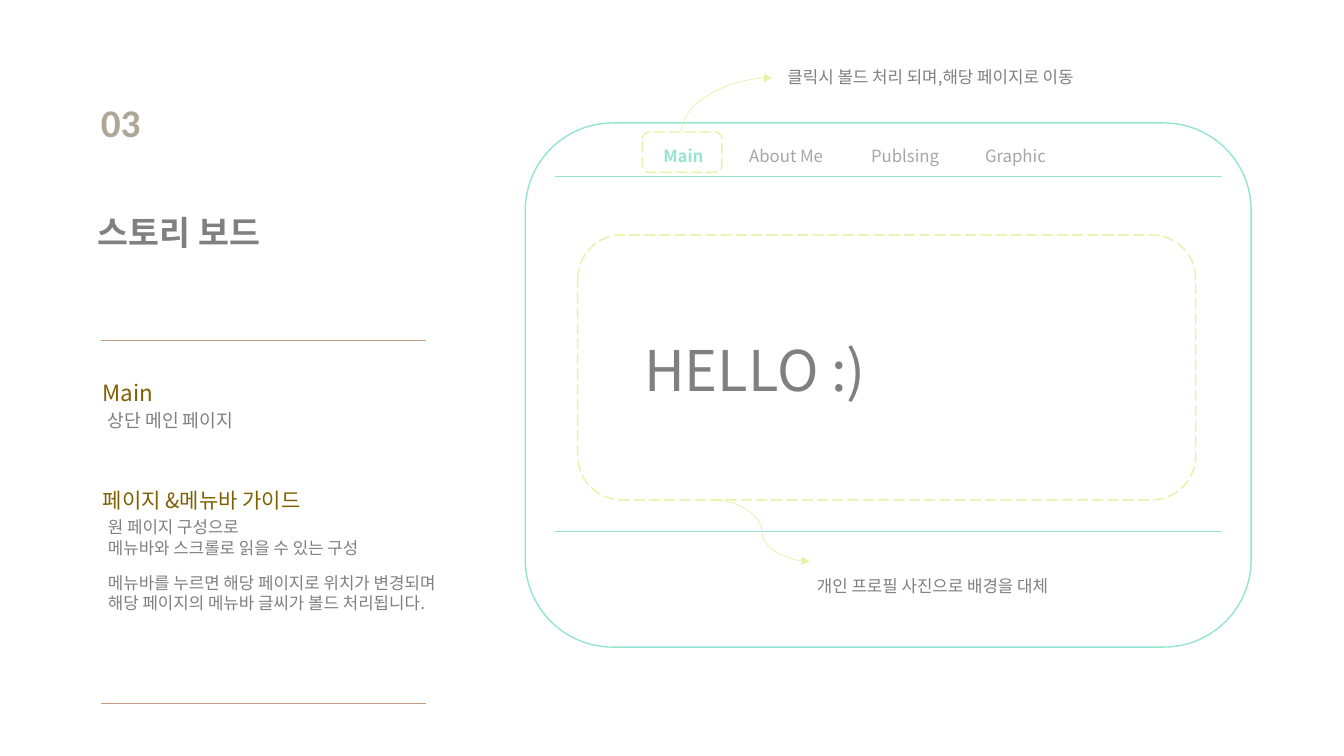
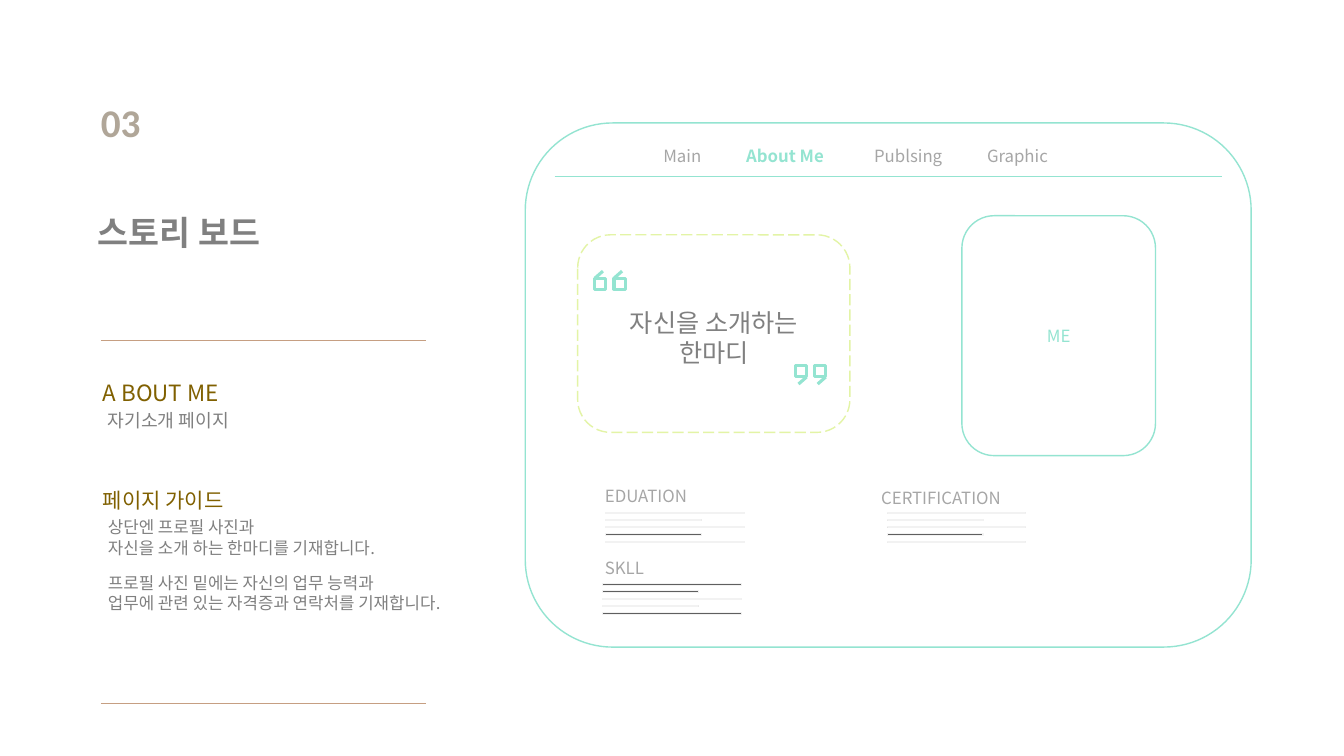
import dataclasses

import lxml.etree
import pptx
import pptx.dml.color
import pptx.enum.dml
import pptx.enum.shapes
import pptx.enum.text
import pptx.oxml.ns
import pptx.util

PX = 9144
ALIGN = pptx.enum.text.PP_ALIGN
SHAPE = pptx.enum.shapes.MSO_SHAPE
CONNECTOR = pptx.enum.shapes.MSO_CONNECTOR
qn = pptx.oxml.ns.qn


@dataclasses.dataclass(frozen=True)
class Style:
    size: float
    color: str
    bold: bool = False
    font: str = "Noto Sans CJK KR"


@dataclasses.dataclass(frozen=True)
class Theme:
    mint: str = "94E4D1"
    lime: str = "E3F4A6"
    tan: str = "C69F82"
    bar: str = "5F5F5F"
    bar_edge: str = "F2F2F2"
    leading: float = 1.2
    number: Style = Style(28, "B0A698", True, "Calibri")
    title: Style = Style(24, "808080", True)
    heading: Style = Style(16, "806000")
    guide_heading: Style = Style(15, "806000")
    summary: Style = Style(13, "808080")
    note: Style = Style(12, "808080")
    menu: Style = Style(12, "A6A6A6")
    active: Style = Style(12, "94E4D1", True)
    portrait: Style = Style(12, "94E4D1")
    hello: Style = Style(40, "808080")
    quote: Style = Style(18, "808080")


THEME = Theme()


@dataclasses.dataclass(frozen=True)
class Box:
    left: int
    top: int
    width: int = 0
    height: int = 0

    def inner(self, left, top, width=0, height=0):
        return Box(self.left + left, self.top + top, width, height)

    def emu(self):
        return [value * PX for value in (self.left, self.top, self.width, self.height)]


SIDEBAR = Box(97, 98, 398, 600)
SCREEN = Box(521, 122, 720, 520)
MENU = ("Main", "About Me", "Publsing", "Graphic")


def rgb(color):
    return pptx.dml.color.RGBColor.from_string(color)


def add_span(para, text, style):
    span = para.add_run()
    span.text = text
    span.font.size = pptx.util.Pt(style.size)
    span.font.bold = style.bold
    span.font.color.rgb = rgb(style.color)
    span.font.name = style.font
    properties = span.font.fill and span._r.get_or_add_rPr()
    lxml.etree.SubElement(properties, qn("a:ea")).set("typeface", style.font)


def add_para(frame, first, style, align=ALIGN.LEFT, gap=0):
    para = frame.paragraphs[0] if first else frame.add_paragraph()
    para.alignment = align
    para.line_spacing = pptx.util.Pt(style.size * THEME.leading)
    para.space_before = pptx.util.Pt(gap)
    return para


def prepare(shape):
    frame = shape.text_frame
    frame.margin_left = frame.margin_right = frame.margin_top = frame.margin_bottom = 0
    frame.auto_size = pptx.enum.text.MSO_AUTO_SIZE.NONE
    frame.vertical_anchor = pptx.enum.text.MSO_ANCHOR.TOP
    frame.word_wrap = True
    return frame


def add_text(page, box, lines, style, align=ALIGN.LEFT):
    frame = prepare(page.shapes.add_textbox(*box.emu()))
    for index, text in enumerate(lines):
        add_span(add_para(frame, index == 0, style, align), text, style)


def place(placeholder, box):
    placeholder.left, placeholder.top, placeholder.width, placeholder.height = box.emu()
    return prepare(placeholder)


def add_outline(page, kind, box, color, width=1, dashed=False):
    shape = page.shapes.add_shape(kind, *box.emu())
    shape.shadow.inherit = False
    shape.fill.background()
    shape.line.color.rgb = rgb(color)
    shape.line.width = pptx.util.Pt(width)
    if dashed:
        shape.line.dash_style = pptx.enum.dml.MSO_LINE.LONG_DASH
    return shape


def add_line(page, start, end, color, width=0.5, kind=CONNECTOR.STRAIGHT, arrow=None):
    line = page.shapes.add_connector(
        kind, start.left * PX, start.top * PX, end.left * PX, end.top * PX
    )
    line.line.color.rgb = rgb(color)
    line.line.width = pptx.util.Pt(width)
    if arrow:
        outline = line.line._get_or_add_ln()
        lxml.etree.SubElement(outline, qn("a:" + arrow)).set("type", "triangle")
    lxml.etree.SubElement(line.element.spPr, qn("a:effectLst"))
    return line


def add_sidebar(page, box, heading, summary, guide_heading, guide):
    frame = prepare(page.shapes.add_textbox(*box.inner(3, 0, 60, 47).emu()))
    add_span(add_para(frame, True, THEME.number), "03", THEME.number)
    frame = place(page.shapes.title, box.inner(0, 112, 327, 40))
    add_span(add_para(frame, True, THEME.title), "스토리 보드", THEME.title)
    for top in (240, 600):
        add_line(page, box.inner(3, top), box.inner(326, top), THEME.tan)
    add_text(page, box.inner(5, 278, 388, 27), [heading], THEME.heading)
    add_text(page, box.inner(10, 308, 388, 22), [summary], THEME.summary)
    add_text(page, box.inner(5, 386, 388, 25), [guide_heading], THEME.guide_heading)
    frame = place(page.placeholders[1], box.inner(10, 415, 388, 100))
    for index, text in enumerate(guide):
        para = add_para(frame, index == 0, THEME.note, gap=11 if index == 2 else 0)
        properties = para._p.get_or_add_pPr()
        properties.set("marL", "0")
        properties.set("indent", "0")
        lxml.etree.SubElement(properties, qn("a:buNone"))
        add_span(para, text, THEME.note)


def add_screen(page, box, active, tabs):
    add_outline(page, SHAPE.ROUNDED_RECTANGLE, box, THEME.mint)
    add_line(page, box.inner(29, 53), box.inner(691, 53), THEME.mint)
    frame = prepare(page.shapes.add_textbox(*box.inner(137, 23, 484, 20).emu()))
    para = add_para(frame, True, THEME.menu)
    stops = lxml.etree.SubElement(para._p.get_or_add_pPr(), qn("a:tabLst"))
    for position in tabs:
        stop = lxml.etree.SubElement(stops, qn("a:tab"))
        stop.set("pos", str(position * PX))
        stop.set("algn", "l")
    for index, item in enumerate(MENU):
        text = "\t" + item if index else item
        add_span(para, text, THEME.active if item == active else THEME.menu)


def add_main_content(page, box):
    add_line(page, box.inner(29, 405), box.inner(691, 405), THEME.mint)
    add_text(page, box.inner(118, 211, 280, 67), ["HELLO :)"], THEME.hello)
    for area in (box.inner(52, 111, 613, 263), box.inner(116, 9, 79, 40)):
        add_outline(page, SHAPE.ROUNDED_RECTANGLE, area, THEME.lime, dashed=True)
    add_line(page, box.inner(187, 374), box.inner(282, 435), THEME.lime,
             kind=CONNECTOR.CURVE, arrow="tailEnd")
    bend = add_line(page, box.inner(245, -45), box.inner(155, 9), THEME.lime,
                    kind=CONNECTOR.CURVE, arrow="headEnd")
    bend.element.spPr.find(qn("a:prstGeom")).set("prst", "curvedConnector2")
    add_text(page, box.inner(200, 449, 408, 20),
             ["개인 프로필 사진으로 배경을 대체"], THEME.note, ALIGN.CENTER)
    add_text(page, box.inner(260, -56, 388, 20),
             ["클릭시 볼드 처리 되며,해당 페이지로 이동"], THEME.note)


def add_quote_mark(page, box, direction):
    for step in (0, 19):
        square = box.inner(step, 0, 11, 11)
        add_outline(page, SHAPE.RECTANGLE, square, THEME.mint, 2.25)
        corner = square if direction > 0 else square.inner(11, 11)
        tip = corner.inner(8 * direction, -7 * direction)
        add_line(page, corner, tip, THEME.mint, 2.25)


def add_bars(page, box):
    thickness, pitch = 14, 72
    builder = page.shapes.build_freeform(0, 0, scale=PX / 10)
    for row in range(5):
        top, width = row * pitch, 950 if row % 2 else 1370
        if row:
            builder.move_to(0, top)
        builder.add_line_segments(
            [(0, top + thickness), (width, top + thickness), (width, top)], close=True
        )
    bars = builder.convert_to_shape(box.left * PX, box.top * PX)
    bars.shadow.inherit = False
    bars.fill.solid()
    bars.fill.fore_color.rgb = rgb(THEME.bar)
    bars.line.color.rgb = rgb(THEME.bar_edge)
    bars.line.width = pptx.util.Pt(0.75)


def add_about_content(page, box):
    add_outline(page, SHAPE.ROUNDED_RECTANGLE, box.inner(52, 111, 270, 196),
                THEME.lime, dashed=True)
    add_quote_mark(page, box.inner(69, 154), 1)
    add_quote_mark(page, box.inner(268, 241), -1)
    add_text(page, box.inner(93, 183, 188, 60),
             ["자신을 소개하는", "한마디"], THEME.quote, ALIGN.CENTER)
    portrait = add_outline(page, SHAPE.ROUNDED_RECTANGLE,
                           box.inner(433, 92, 192, 238), THEME.mint)
    frame = prepare(portrait)
    frame.vertical_anchor = pptx.enum.text.MSO_ANCHOR.MIDDLE
    add_span(add_para(frame, True, THEME.portrait, ALIGN.CENTER), "ME", THEME.portrait)
    sections = (
        ("EDUATION", box.inner(79, 360, 140, 20), box.inner(80, 386)),
        ("CERTIFICATION", box.inner(353, 362, 140, 20), box.inner(359, 386)),
        ("SKLL", box.inner(79, 431, 140, 20), box.inner(77, 457)),
    )
    for label, label_box, bars_box in sections:
        add_text(page, label_box, [label], THEME.menu)
        add_bars(page, bars_box)


def add_page(deck, sidebar, active, tabs, add_content):
    page = deck.slides.add_slide(deck.slide_layouts[1])
    add_sidebar(page, SIDEBAR, *sidebar)
    add_screen(page, SCREEN, active, tabs)
    add_content(page, SCREEN)


def main():
    deck = pptx.Presentation()
    deck.slide_width, deck.slide_height = 1333 * PX, 750 * PX
    main_sidebar = ("Main", "상단 메인 페이지", "페이지 &메뉴바 가이드", (
        "원 페이지 구성으로",
        "메뉴바와 스크롤로 읽을 수 있는 구성",
        "메뉴바를 누르면 해당 페이지로 위치가 변경되며",
        "해당 페이지의 메뉴바 글씨가 볼드 처리됩니다.",
    ))
    about_sidebar = ("A BOUT ME", "자기소개 페이지", "페이지 가이드", (
        "상단엔 프로필 사진과",
        "자신을 소개 하는 한마디를 기재합니다.",
        "프로필 사진 밑에는 자신의 업무 능력과",
        "업무에 관련 있는 자격증과 연락처를 기재합니다.",
    ))
    add_page(deck, main_sidebar, "Main", (85, 206, 319), add_main_content)
    add_page(deck, about_sidebar, "About Me", (82, 209, 321), add_about_content)
    deck.save("out.pptx")


if __name__ == "__main__":
    main()
